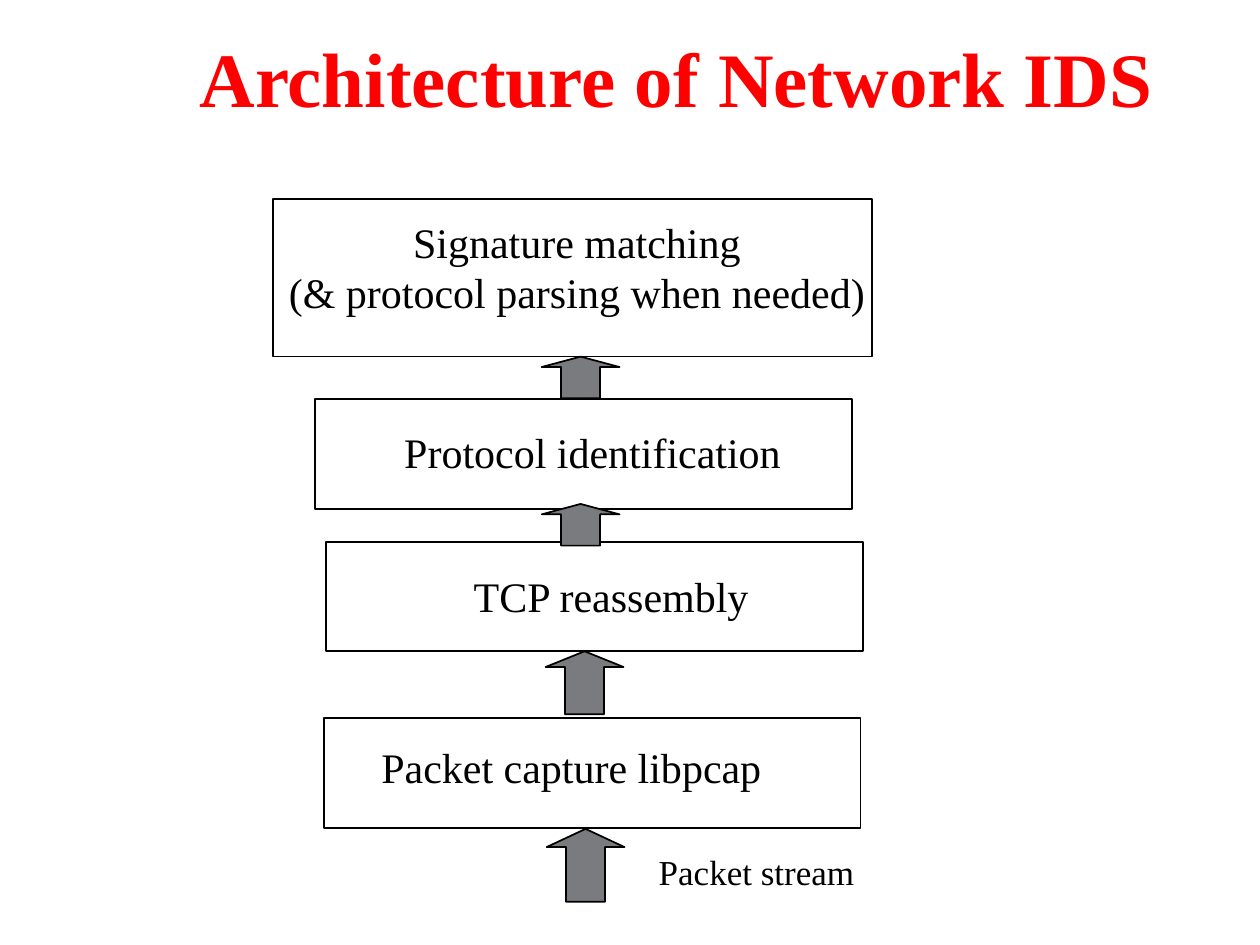
"""Build the network IDS architecture slide."""
from pptx import Presentation
from pptx.dml.color import RGBColor
from pptx.enum import shapes as s, text as t
from pptx.util import Cm, Pt

FONT = "Times New Roman"
BLACK, RED, GREY = "000000", "FF0000", "797B7E"


def paint(color, tint):
    """Set a colour format from a hex string."""
    color.rgb = RGBColor.from_string(tint)


def apply(item, values):
    """Set attributes of an object from a dict."""
    for name, value in values.items():
        setattr(item, name, value)


def shape(slide, kind, area, fill=None):
    """Add an outlined shape, filled when a colour is given."""
    item = slide.shapes.add_shape(kind, *map(Cm, area))
    item.shadow.inherit = False
    if fill:
        item.fill.solid()
        paint(item.fill.fore_color, fill)
    else:
        item.fill.background()
    paint(item.line.color, BLACK)
    item.line.width = Pt(1)
    return item


def arrow(slide, area):
    """Add a grey up arrow with a flat head."""
    item = shape(slide, s.MSO_SHAPE.UP_ARROW, area, GREY)
    item.adjustments[0] = 0.5
    item.adjustments[1] = 0.25


def label(slide, lines, area, size=24, tint=BLACK, bold=False,
          align=t.PP_ALIGN.LEFT, **frame):
    """Add a text box with one paragraph per line."""
    box = slide.shapes.add_textbox(*map(Cm, area)).text_frame
    apply(box, {"word_wrap": False, "auto_size": t.MSO_AUTO_SIZE.SHAPE_TO_FIT_TEXT,
                **frame})
    box.text = "\n".join(lines)
    for para in box.paragraphs:
        para.alignment = align
        for run in para.runs:
            apply(run.font, {"name": FONT, "size": Pt(size), "bold": bold})
            paint(run.font.color, tint)


def main():
    """Build and save the slide."""
    deck = Presentation()
    apply(deck, {"slide_width": Cm(25.4), "slide_height": Cm(19.05)})
    slide = deck.slides.add_slide(deck.slide_layouts[6])
    mid = t.PP_ALIGN.CENTER

    label(slide, ["Architecture of Network IDS"], (2.92, 0.43, 21.43, 2.24),
          44, RED, True, mid, word_wrap=True, auto_size=t.MSO_AUTO_SIZE.NONE,
          vertical_anchor=t.MSO_ANCHOR.MIDDLE)

    shape(slide, s.MSO_SHAPE.RECTANGLE, (5.51, 4.01, 12.07, 3.18))
    for left, top in ((6.35, 8.05), (6.58, 10.92), (6.53, 14.48)):
        shape(slide, s.MSO_SHAPE.RECTANGLE, (left, top, 10.82, 2.21))

    label(slide, ["Signature matching", "(& protocol parsing when needed)"],
          (5.51, 4.24, 12.24, 2.29), align=mid, word_wrap=True)
    for words, left, top, width in (
            ("Protocol identification", 7.9, 8.47, 8.2),
            ("TCP reassembly", 9.3, 11.38, 6.2),
            ("Packet capture libpcap", 7.44, 14.82, 8.3)):
        label(slide, [words], (left, top, width, 1.27))
    label(slide, ["Packet stream"], (13.03, 17.02, 4.55, 1.12), 20)

    for left, top, height in ((10.92, 7.19, 0.84), (10.92, 10.16, 0.84),
                              (11, 13.13, 1.27), (11.02, 16.71, 1.47)):
        arrow(slide, (left, top, 1.57, height))

    deck.save("out.pptx")


if __name__ == "__main__":
    main()
